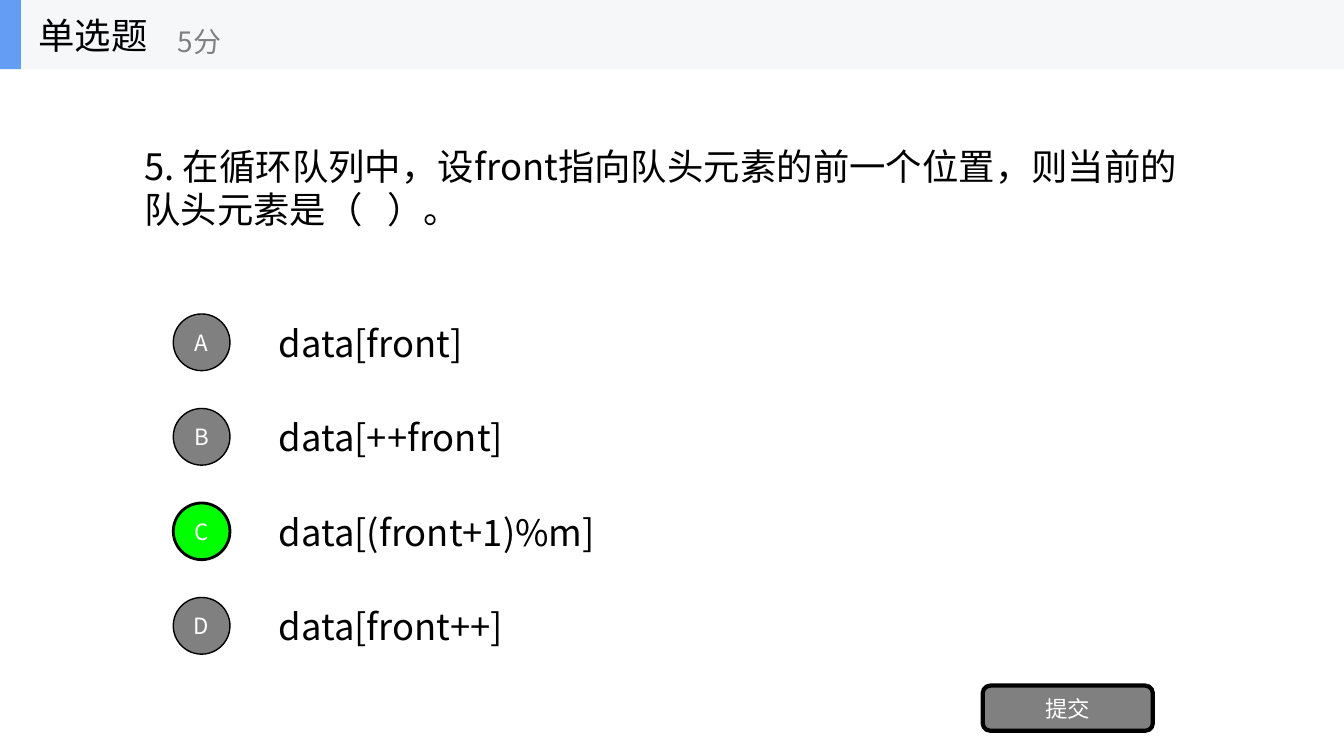
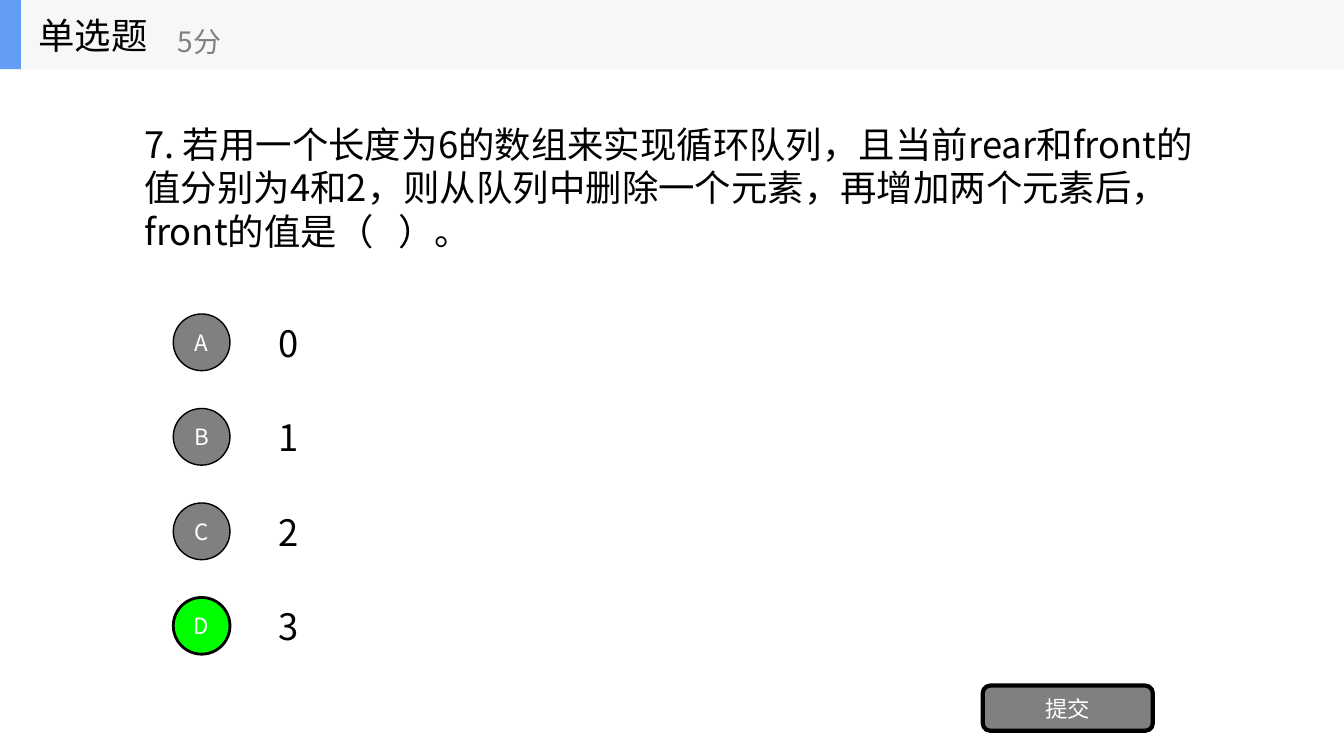
from lxml.etree import SubElement
from pptx import Presentation
from pptx.dml.color import RGBColor as RGB
from pptx.enum.shapes import MSO_SHAPE as Shape
from pptx.enum.text import MSO_ANCHOR as Anchor, PP_ALIGN as Align
from pptx.oxml.ns import qn
from pptx.util import Pt

PX = 9525
WIDE, HIGH = 1280, 720
FACE = "Noto Sans CJK SC"
HEX = {
    "ink": "000000", "paper": "FFFFFF", "gray": "808080",
    "right": "00FF00", "band": "F6F7F8", "mark": "639EF4",
}
BODY = {"size": Pt(26), "name": FACE}
SCORE = {"size": Pt(20), "name": FACE}
LABEL = {"size": Pt(16), "name": FACE}

HEAD = (0, 0, WIDE, 66)
ASK = (128, 66, 1024, 225)
ROWS = (165, 293, 987, 67)
STEP = 90
SUBMIT = (936, 653, 162, 43)

QUIZ = [
    ("5. 在循环队列中，设front指向队头元素的前一个位置，则当前的队头元素是（   ）。",
     ["data[front]", "data[++front]", "data[(front+1)%m]", "data[front++]"], "C"),
    ("7. 若用一个长度为6的数组来实现循环队列，且当前rear和front的值分别为4和2，"
     "则从队列中删除一个元素，再增加两个元素后，front的值是（   ）。",
     ["0", "1", "2", "3"], "D"),
]


def emu(box):
    return [n * PX for n in box]


def write(shape, text, style, color="ink", align=Align.LEFT):
    frame = shape.text_frame
    for key, val in {"word_wrap": True, "vertical_anchor": Anchor.MIDDLE}.items():
        setattr(frame, key, val)
    para = frame.paragraphs[0]
    para.alignment = align
    run = para.add_run()
    run.text = text
    for key, val in style.items():
        setattr(run.font, key, val)
    run.font.color.rgb = RGB.from_string(HEX[color])
    # East Asian glyphs need their own typeface entry.
    SubElement(run.font._element, qn("a:ea"), typeface=style["name"])


def label(parts, box, text, style, color="ink"):
    write(parts.add_textbox(*emu(box)), text, style, color)


def block(parts, kind, box, fill, line=0):
    """Add a filled shape; a line width of 0 means no outline."""
    shape = parts.add_shape(kind, *emu(box))
    shape.shadow.inherit = False
    shape.fill.solid()
    shape.fill.fore_color.rgb = RGB.from_string(HEX[fill])
    if line:
        shape.line.color.rgb = RGB.from_string(HEX["ink"])
        shape.line.width = Pt(line)
    else:
        shape.line.fill.background()
    return shape


def button(parts, kind, box, text, fill, line):
    shape = block(parts, kind, box, fill, line)
    write(shape, text, LABEL, "paper", Align.CENTER)


def header(slide, box):
    x, y, w, h = box
    parts = slide.shapes.add_group_shape().shapes
    block(parts, Shape.RECTANGLE, box, "band")
    block(parts, Shape.RECTANGLE, (x, y, 20, h), "mark")
    label(parts, (x + 27, y, 200, h), "单选题", BODY)
    label(parts, (x + 160, y + 12, 240, h - 12), "5分", SCORE, "gray")


def choice(slide, box, mark, text, right):
    """Place one answer: a lettered disc and its text."""
    x, y, w, h = box
    disc = 54
    label(slide.shapes, (x + 91, y, w - 91, h), text, BODY)
    button(slide.shapes, Shape.OVAL, (x, y + (h - disc) // 2, disc, disc), mark,
           "right" if right else "gray", 2 if right else 1)


def question(deck, ask, answers, key):
    slide = deck.slides.add_slide(deck.slide_layouts[6])
    label(slide.shapes, ASK, ask, BODY)
    x, y, w, h = ROWS
    for i, (mark, text) in enumerate(zip("ABCD", answers)):
        choice(slide, (x, y + i * STEP, w, h), mark, text, mark == key)
    button(slide.shapes, Shape.ROUNDED_RECTANGLE, SUBMIT, "提交", "gray", 3)
    header(slide, HEAD)


def main():
    deck = Presentation()
    deck.slide_width, deck.slide_height = emu((WIDE, HIGH))
    for item in QUIZ:
        question(deck, *item)
    deck.save("out.pptx")


if __name__ == "__main__":
    main()
